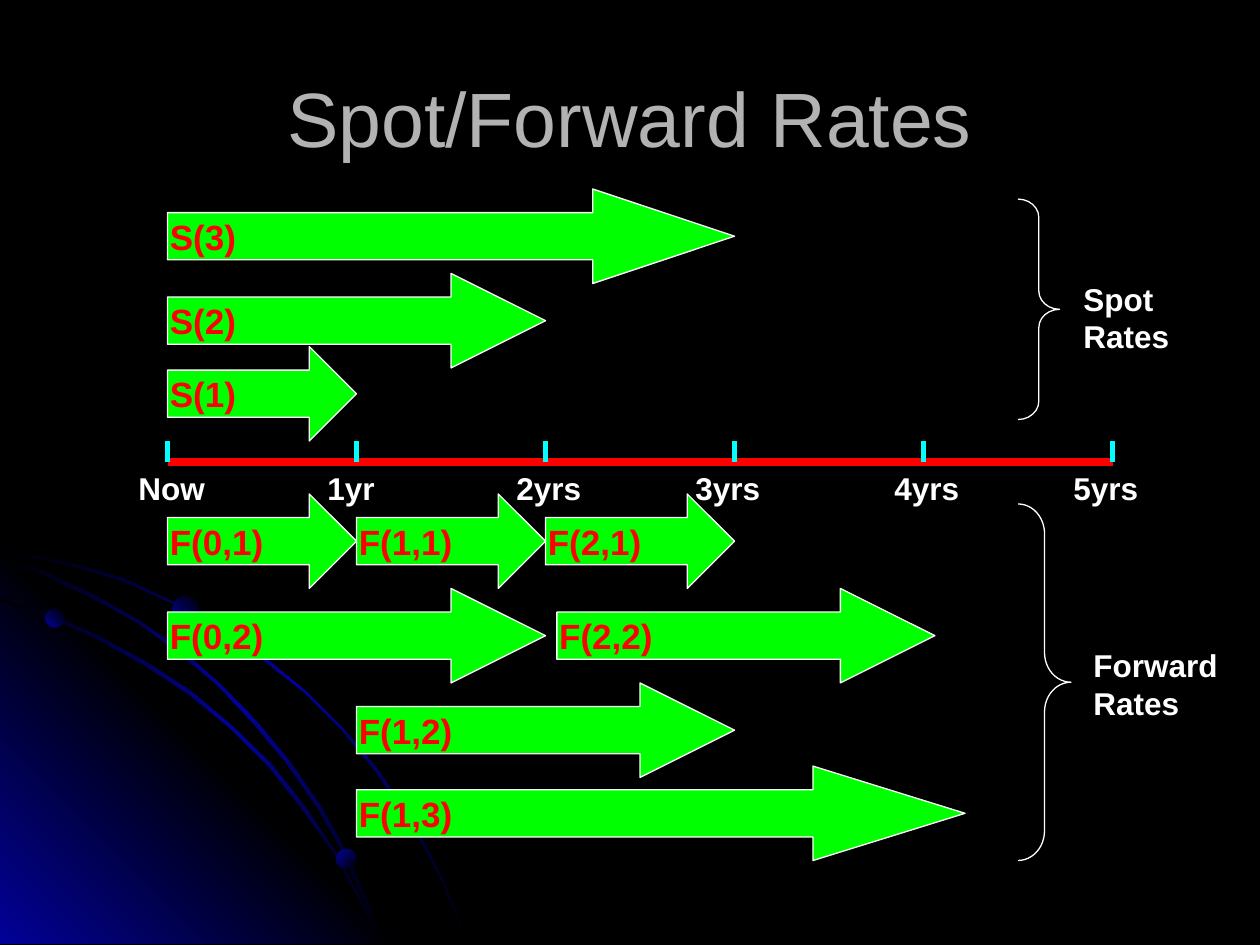
from dataclasses import dataclass

from lxml import etree
from pptx import Presentation
from pptx.dml.color import RGBColor
from pptx.enum.shapes import MSO_CONNECTOR, MSO_SHAPE
from pptx.enum.text import MSO_ANCHOR, MSO_AUTO_SIZE, PP_ALIGN
from pptx.oxml.ns import qn
from pptx.util import Inches, Pt

STRAIGHT = MSO_CONNECTOR.STRAIGHT
ARROW, BRACE, OVAL = MSO_SHAPE.RIGHT_ARROW, MSO_SHAPE.RIGHT_BRACE, MSO_SHAPE.OVAL
MIDDLE, CENTER = MSO_ANCHOR.MIDDLE, PP_ALIGN.CENTER
FIT_SHAPE = MSO_AUTO_SIZE.SHAPE_TO_FIT_TEXT


@dataclass(frozen=True)
class Theme:
    font: str = "Arial"
    back: str = "000000"
    glow: str = "010199"
    title: str = "B2B2B2"
    text: str = "FFFFFF"
    axis: str = "FF0000"
    tick: str = "00FFFF"
    arrow: str = "00FF00"
    rate: str = "FF0000"
    title_size: int = 44
    rate_size: int = 20
    text_size: int = 18


class SlideBuilder:
    def __init__(self, prs, theme):
        self.theme = theme
        self.s = prs.slides.add_slide(prs.slide_layouts[5])
        fill = self.s.background.fill
        fill.solid()
        fill.fore_color.rgb = RGBColor.from_string(theme.back)

    def add_words(self, tf, text, size, color, bold):
        p = tf.paragraphs[0]
        r = p.add_run()
        r.text = text
        formats = {"name": self.theme.font, "size": Pt(size), "bold": bold}
        for name, value in formats.items():
            setattr(r.font, name, value)
        r.font.color.rgb = RGBColor.from_string(color)
        return p

    def title(self, text, *box):
        sp = self.s.shapes.title
        for name, value in zip(("left", "top", "width", "height"), box):
            setattr(sp, name, Inches(value))
        sp.text_frame.vertical_anchor = MIDDLE
        p = self.add_words(sp.text_frame, text, self.theme.title_size, self.theme.title, False)
        p.alignment = CENTER

    def text(self, text, box, size, color):
        sp = self.s.shapes.add_textbox(*map(Inches, box))
        tf = sp.text_frame
        tf.word_wrap = True
        tf.auto_size = FIT_SHAPE
        self.add_words(tf, text, size, color, True)

    def line(self, x1, y1, x2, y2, color, width):
        sp = self.s.shapes.add_connector(STRAIGHT, *map(Inches, (x1, y1, x2, y2)))
        sp.line.color.rgb = RGBColor.from_string(color)
        sp.line.width = Pt(width)
        etree.SubElement(sp._element.spPr, qn("a:effectLst"))

    def shape(self, kind, *box):
        sp = self.s.shapes.add_shape(kind, *map(Inches, box))
        sp.shadow.inherit = False
        sp.line.color.rgb = RGBColor.from_string(self.theme.text)
        sp.line.width = Pt(0.75)
        return sp

    def arrow(self, text, left, top, width, height=0.75):
        sp = self.shape(ARROW, left, top, width, height)
        sp.adjustments[1] = width / 4 / height  # the head takes a quarter
        sp.fill.solid()
        sp.fill.fore_color.rgb = RGBColor.from_string(self.theme.arrow)
        box = (left - 0.08, top + 0.16, 1, 0.44)
        self.text(text, box, self.theme.rate_size, self.theme.rate)

    def brace(self, left, top, width, height):
        sp = self.shape(BRACE, left, top, width, height)
        sp.adjustments[0] = height / 12 / width
        sp.fill.background()

    def gradient(self, sp, colors, angle):
        """Spread the colours evenly; the angle runs clockwise."""
        sp.fill.gradient()
        sp.fill.gradient_angle = 360 - angle
        stops = sp._element.spPr.find(qn("a:gradFill")).find(qn("a:gsLst"))
        for stop in list(stops):
            stops.remove(stop)
        for i, color in enumerate(colors):
            pos = str(100000 * i // (len(colors) - 1))
            gs = etree.SubElement(stops, qn("a:gs"), pos=pos)
            etree.SubElement(gs, qn("a:srgbClr"), val=color)
        sp.line.fill.background()

    def outline(self, points, colors, angle):
        pts = [(Inches(x), Inches(y)) for x, y in points]
        fb = self.s.shapes.build_freeform(*pts[0])
        fb.add_line_segments(pts[1:], close=True)
        sp = fb.convert_to_shape()
        sp.shadow.inherit = False
        self.gradient(sp, colors, angle)

    def dot(self, left, top, size, angle):
        sp = self.shape(OVAL, left, top, size, size)
        self.gradient(sp, (self.theme.back, self.theme.glow), angle)


# Background arcs: out along one edge and back along the other
OUTER_ARC = [
    (0.57, 4.47), (0.28, 4.41), (0, 4.35), (0, 4.38), (0.28, 4.43), (0.56, 4.49),
    (0.97, 4.61), (1.35, 4.78), (1.73, 4.99), (2.08, 5.23), (2.41, 5.49), (2.71, 5.79),
    (2.98, 6.12), (3.23, 6.49), (3.37, 6.73), (3.5, 6.98), (3.6, 7.23), (3.7, 7.49),
    (3.72, 7.49), (3.62, 7.23), (3.52, 6.98), (3.39, 6.73), (3.25, 6.48), (3, 6.11),
    (2.72, 5.78), (2.42, 5.48), (2.09, 5.21), (1.74, 4.97), (1.36, 4.77), (0.98, 4.59)]
INNER_ARC = [
    (2.85, 7.14), (2.94, 7.32), (3.01, 7.49), (3.03, 7.49), (2.96, 7.3), (2.86, 7.12),
    (2.66, 6.76), (2.42, 6.4), (2.15, 6.06), (1.84, 5.76), (1.52, 5.49), (1.17, 5.26),
    (0.79, 5.05), (0.41, 4.88), (0, 4.75), (0, 4.77), (0.39, 4.9), (0.77, 5.07),
    (1.15, 5.28), (1.5, 5.51), (1.83, 5.78), (2.13, 6.08), (2.4, 6.42), (2.65, 6.77)]
MIDDLE_ARC = [
    (0, 4.42), (0, 4.44), (0.36, 4.57), (0.74, 4.75), (1.09, 4.94), (1.42, 5.18),
    (1.73, 5.44), (2.02, 5.75), (2.27, 6.05), (2.52, 6.41), (2.67, 6.67), (2.8, 6.94),
    (2.92, 7.22), (3.01, 7.49), (3.03, 7.49), (2.94, 7.2), (2.82, 6.93), (2.69, 6.65),
    (2.54, 6.39), (2.29, 6.03), (2.04, 5.73), (1.75, 5.43), (1.44, 5.16), (1.11, 4.93),
    (0.76, 4.73), (0.39, 4.55)]
CORNER = [(3.22, 7.49), (0, 7.49), (0, 4.27)]

# Time axis: start, length of a year, height; labels with left offset and width
NOW, YEAR, AXIS_Y = 1.33, 1.5, 3.67
YEARS = [("Now", 0.33, 0.83), ("1yr", 0.33, 0.67), ("2yrs", 0.33, 0.75),
         ("3yrs", 0.41, 0.75), ("4yrs", 0.33, 0.75), ("5yrs", 0.41, 0.75)]

# Rates: label, start in years, top, width in inches
RATES = [("S(1)", 0, 2.75, 1.5), ("S(2)", 0, 2.17, 3), ("S(3)", 0, 1.5, 4.5),
         ("F(0,1)", 0, 3.92, 1.5), ("F(1,1)", 1, 3.92, 1.5), ("F(2,1)", 2, 3.92, 1.5),
         ("F(0,2)", 0, 4.67, 3), ("F(2,2)", 2.06, 4.67, 3),
         ("F(1,2)", 1, 5.42, 3), ("F(1,3)", 1, 6.08, 4.83)]

# Groups: label, its box, brace box
GROUPS = [("Spot Rates", (8.5, 2.17, 1, 0.7), (8.08, 1.58, 0.33, 1.75)),
          ("Forward Rates", (8.58, 5.08, 1.42, 0.7), (8.08, 4, 0.42, 2.83))]


def main():
    prs = Presentation()
    prs.slide_width, prs.slide_height = Inches(10), Inches(7.5)
    theme = Theme()
    b = SlideBuilder(prs, theme)

    # Background ornament
    streak = (theme.back, theme.glow, theme.back)
    b.outline(OUTER_ARC, streak, 225)
    b.outline(CORNER, (theme.glow, theme.back, theme.glow), 135)
    for arc in (INNER_ARC, MIDDLE_ARC):
        b.outline(arc, streak, 225)
    for dot in ((0.36, 4.83, 0.15, 135), (2.67, 6.74, 0.16, 225), (1.37, 4.73, 0.21, 135)):
        b.dot(*dot)

    b.title("Spot/Forward Rates", 0.5, 0.3, 9, 1.25)

    # Time axis
    b.line(NOW, AXIS_Y, NOW + 5 * YEAR, AXIS_Y, theme.axis, 4.5)
    for i, (label, offset, width) in enumerate(YEARS):
        x = NOW + i * YEAR
        b.line(x, AXIS_Y, x, AXIS_Y - 0.17, theme.tick, 3)
        b.text(label, (x - offset, AXIS_Y, width, 0.4), theme.text_size, theme.text)

    # Rate arrows
    for label, start, top, width in RATES:
        b.arrow(label, NOW + start * YEAR, top, width)

    # Braces with group names
    for label, box, brace in GROUPS:
        b.brace(*brace)
        b.text(label, box, theme.text_size, theme.text)

    prs.save("out.pptx")


if __name__ == "__main__":
    main()
